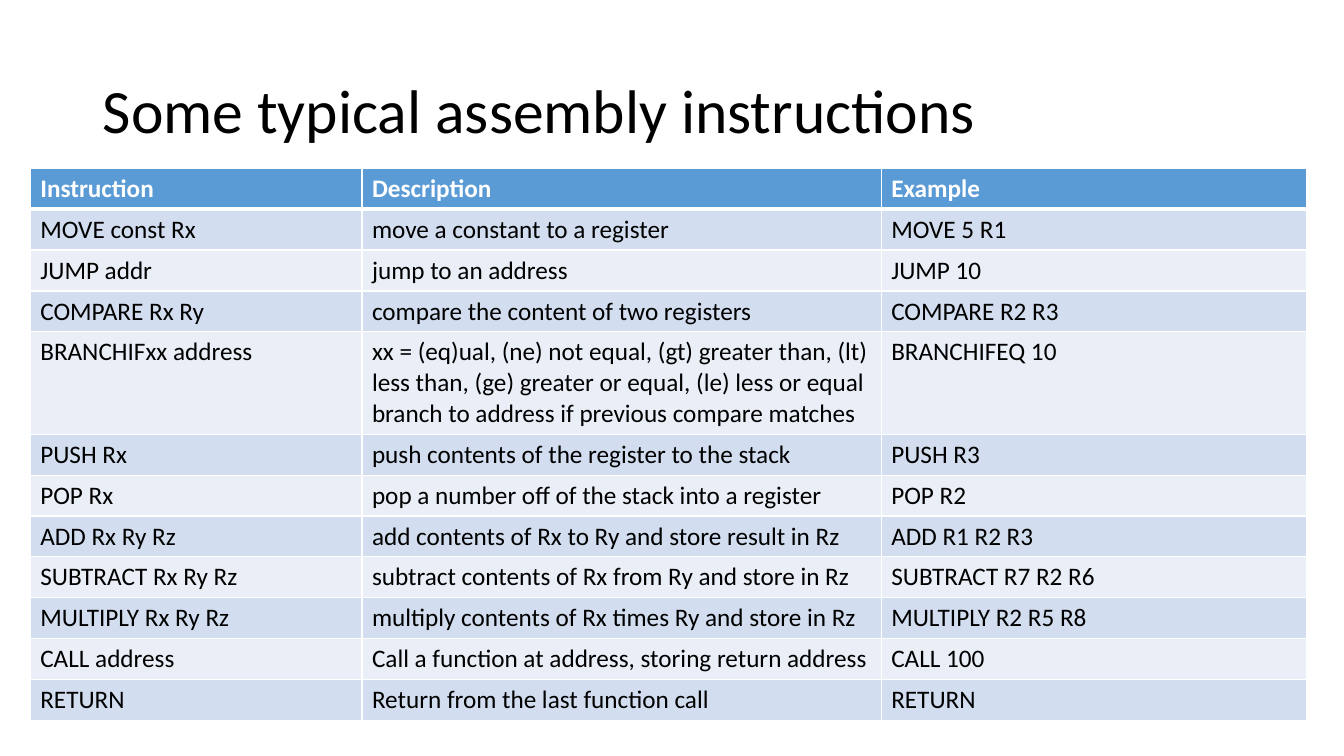
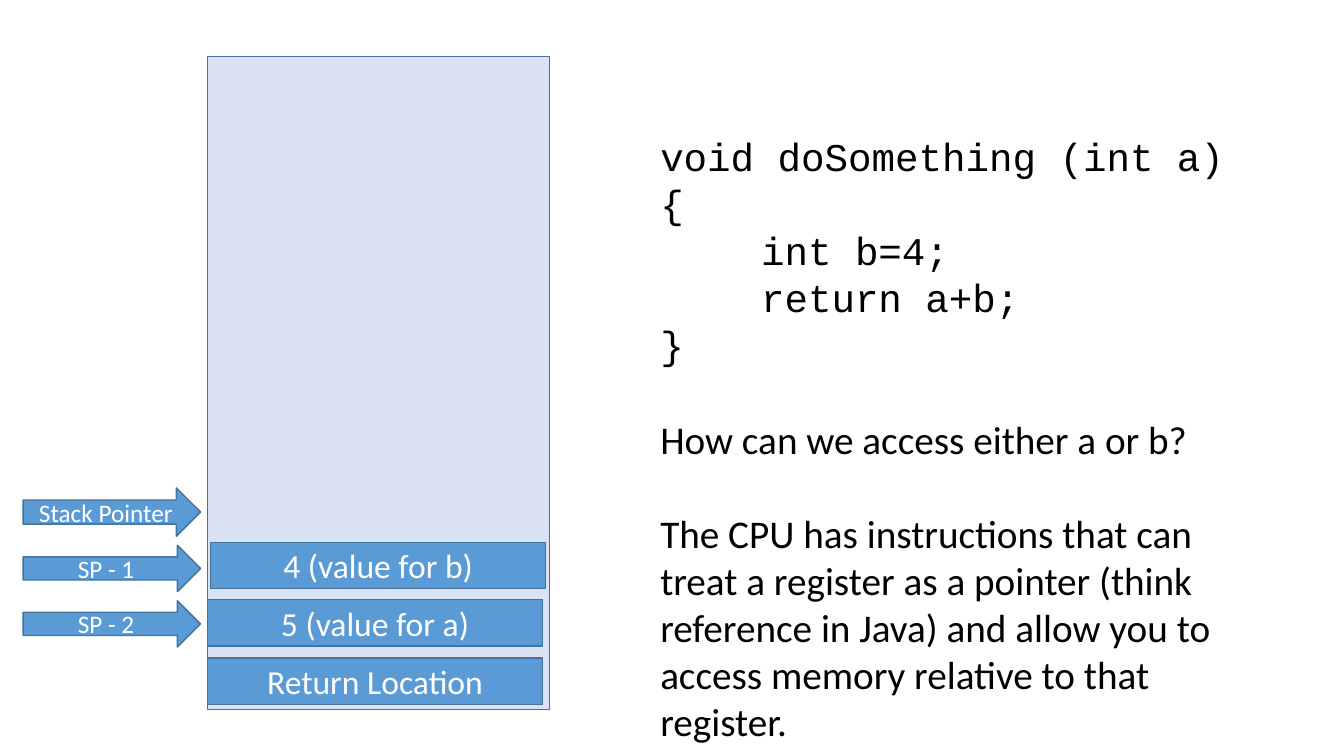
from pptx import Presentation
from pptx.dml.color import RGBColor
from pptx.enum.shapes import MSO_SHAPE as Kind
from pptx.enum.text import MSO_ANCHOR as Anchor, MSO_AUTO_SIZE as Fit, PP_ALIGN as Align
from pptx.oxml.ns import qn
from pptx.util import Inches, Pt
from lxml.etree import SubElement

HUES = {"blue": "5B9BD5", "edge": "43739E", "pale": "DAE3F3", "odd": "D2DEEF",
        "even": "EAEFF7", "white": "FFFFFF", "black": "000000"}
SANS, MONO = "Calibri", "Courier New"

HEAD = ("Instruction", "Description", "Example")
ROWS = [
    ("MOVE const Rx", "move a constant to a register", "MOVE 5 R1"),
    ("JUMP addr", "jump to an address", "JUMP 10"),
    ("COMPARE Rx Ry", "compare the content of two registers", "COMPARE R2 R3"),
    ("BRANCHIFxx address",
     "xx = (eq)ual, (ne) not equal, (gt) greater than, (lt) less than, "
     "(ge) greater or equal, (le) less or equal\n"
     "branch to address if previous compare matches", "BRANCHIFEQ 10"),
    ("PUSH Rx", "push contents of the register to the stack", "PUSH R3"),
    ("POP Rx", "pop a number off of the stack into a register", "POP R2"),
    ("ADD Rx Ry Rz", "add contents of Rx to Ry and store result in Rz", "ADD R1 R2 R3"),
    ("SUBTRACT Rx Ry Rz", "subtract contents of Rx from Ry and store in Rz",
     "SUBTRACT R7 R2 R6"),
    ("MULTIPLY Rx Ry Rz", "multiply contents of Rx times Ry and store in Rz",
     "MULTIPLY R2 R5 R8"),
    ("CALL address", "Call a function at address, storing return address", "CALL 100"),
    ("RETURN", "Return from the last function call", "RETURN"),
]

# Text, font, indent in inches, space before in points
NOTES = [
    ("void doSomething (int a) {", MONO, 0, 0),
    ("int b=4;", MONO, 1, 0),
    ("return a+b;", MONO, 1, 0),
    ("}", MONO, 0, 0),
    ("How can we access either a or b?", SANS, 0, 34),
    ("The CPU has instructions that can treat a register as a pointer (think "
     "reference in Java) and allow you to access memory relative to that register.",
     SANS, 0, 34),
]


def hue(name):
    return RGBColor.from_string(HUES[name])


def style(para, size, color="black", face=SANS, bold=False):
    font = para.font
    font.name, font.size, font.bold = face, Pt(size), bold
    font.color.rgb = hue(color)


def add_title(slide, text):
    title = slide.shapes.title
    title.left, title.top = Inches(0.92), Inches(0.4)
    title.width, title.height = Inches(11.5), Inches(1.45)
    frame = title.text_frame
    frame.text = text
    frame.auto_size = Fit.NONE
    frame.vertical_anchor = Anchor.MIDDLE
    para = frame.paragraphs[0]
    para.alignment, para.line_spacing = Align.LEFT, 0.9
    style(para, 44)


def add_rules(cell, base):
    """Draw white borders, with the bottom one base points wide."""
    props = cell._tc.get_or_add_tcPr()
    for tag, wide in (("a:lnL", 1), ("a:lnR", 1), ("a:lnT", 1), ("a:lnB", base)):
        line = SubElement(props, qn(tag), w=str(Pt(wide)))
        fill = SubElement(line, qn("a:solidFill"))
        SubElement(fill, qn("a:srgbClr"), val=HUES["white"])


def add_grid(slide):
    rows, wide, high, tall = [HEAD] + ROWS, 12.66, 5.46, 1.01
    grid = slide.shapes.add_table(len(rows), len(HEAD), Inches(0.3), Inches(1.67),
                                  Inches(wide), Inches(high)).table
    for col, width in zip(grid.columns, (3.29, 5.15, 4.22)):
        col.width = Inches(width)
    for i, row in enumerate(rows):
        long = any("\n" in text for text in row)
        grid.rows[i].height = Inches(tall if long else (high - tall) / (len(rows) - 1))
        top = i == 0
        for j, text in enumerate(row):
            cell = grid.cell(i, j)
            cell.text = text
            # The rule below the header belongs to both rows that meet there
            add_rules(cell, 3 if top else 1)
            cell.fill.solid()
            cell.fill.fore_color.rgb = hue("blue" if top else "odd" if i % 2 else "even")
            for para in cell.text_frame.paragraphs:
                style(para, 18, "white" if top else "black", bold=top)


def add_box(slide, kind, left, top, width, height, text="", size=24, fill="blue"):
    box = slide.shapes.add_shape(kind, Inches(left), Inches(top),
                                 Inches(width), Inches(height))
    box.shadow.inherit = False
    box.fill.solid()
    box.fill.fore_color.rgb = hue(fill)
    box.line.color.rgb = hue("edge")
    box.line.width = Pt(1)
    if text:
        frame = box.text_frame
        frame.text = text
        frame.vertical_anchor = Anchor.MIDDLE
        para = frame.paragraphs[0]
        para.alignment = Align.CENTER
        style(para, size, "white")


def add_notes(slide):
    box = slide.shapes.add_textbox(Inches(6.45), Inches(1.26), Inches(5.99), Inches(5.76))
    frame = box.text_frame
    frame.word_wrap = True
    frame.auto_size = Fit.SHAPE_TO_FIT_TEXT
    frame.text = "\n".join(note[0] for note in NOTES)
    for para, (_, face, dent, gap) in zip(frame.paragraphs, NOTES):
        style(para, 28, face=face)
        para.space_before = Pt(gap)
        if dent:
            para._p.get_or_add_pPr().set("marL", str(Inches(dent)))


def main():
    deck = Presentation()
    deck.slide_width, deck.slide_height = Inches(13.33), Inches(7.5)

    # Instruction table
    slide = deck.slides.add_slide(deck.slide_layouts[5])
    add_title(slide, "Some typical assembly instructions")
    add_grid(slide)

    # Stack with its pointers, and the code beside it
    slide = deck.slides.add_slide(deck.slide_layouts[6])
    add_box(slide, Kind.RECTANGLE, 2.06, 0.56, 3.39, 6.48, fill="pale")
    add_notes(slide)
    for left, top, text in ((2.06, 6.53, "Return Location"),
                            (2.06, 5.95, "5 (value for a)"),
                            (2.09, 5.38, "4 (value for b)")):
        add_box(slide, Kind.RECTANGLE, left, top, 3.32, 0.46, text)
    for top, high, text in ((4.84, 0.48, "Stack Pointer"),
                            (5.41, 0.46, "SP - 1"),
                            (5.96, 0.46, "SP - 2")):
        add_box(slide, Kind.RIGHT_ARROW, 0.23, top, 1.76, high, text, 18)

    deck.save("out.pptx")


main()
